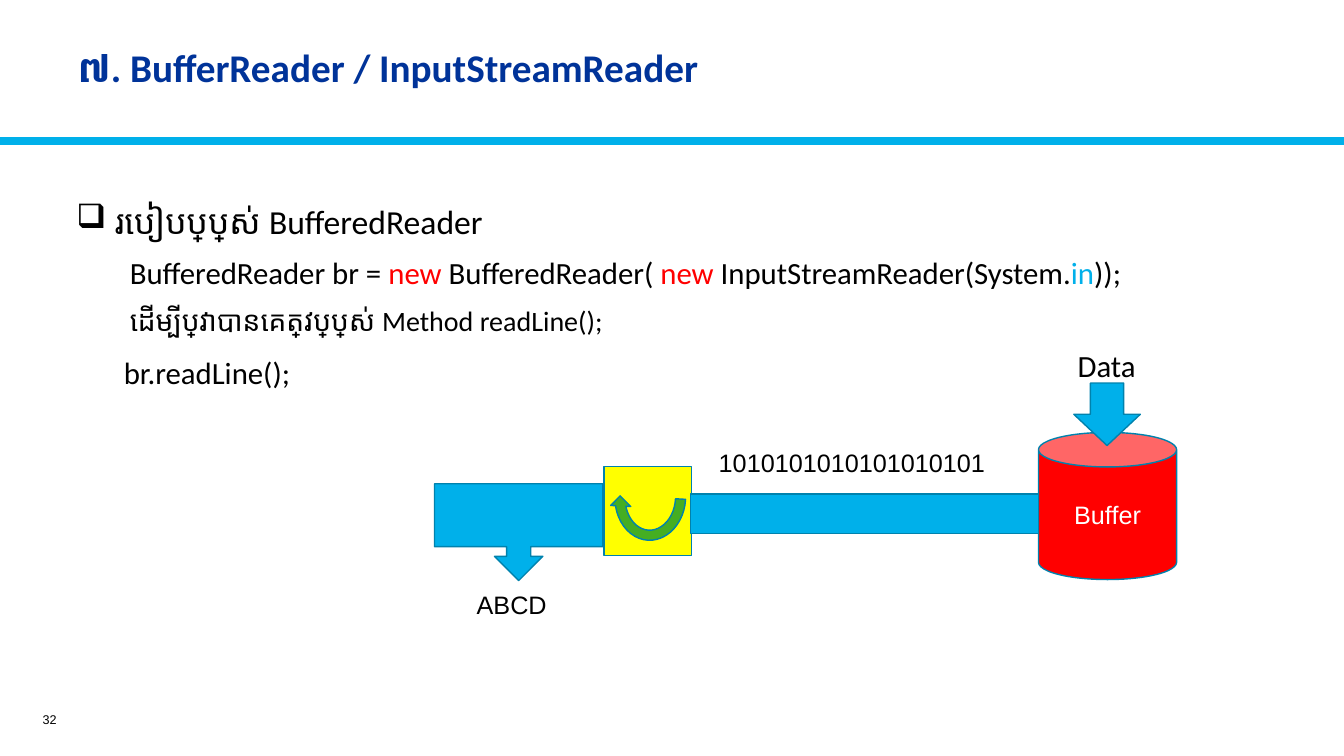
from lxml import etree
from pptx import Presentation
from pptx import util as u
from pptx.dml.color import RGBColor
from pptx.enum import shapes, text
from pptx.oxml import ns

KIND = shapes.MSO_SHAPE
ALIGN = text.PP_ALIGN
MIDDLE = text.MSO_ANCHOR.MIDDLE
BLACK, WHITE, RED, SKY = "000000", "FFFFFF", "FF0000", "00B0EA"


def color(code):
    return RGBColor.from_string(code)


def apply(item, values):
    for key, value in values.items():
        setattr(item, key, value)


class Deck:
    edge = "0082AD"

    def __init__(self, wide, high):
        self.show = Presentation()
        apply(self.show, {"slide_width": u.Inches(wide), "slide_height": u.Inches(high)})
        self.slide = self.show.slides.add_slide(self.show.slide_layouts[5])

    def fill_in(self, para, runs, size, face="Calibri", bold=False):
        for words, code in runs:
            run = para.add_run()
            run.text = words
            apply(run.font, {"size": u.Pt(size), "name": face, "bold": bold})
            run.font.color.rgb = color(code)

    def title(self, words, box):
        shape = self.slide.shapes.title
        apply(shape, dict(zip(("left", "top", "width", "height"), map(u.Inches, box))))
        apply(shape.text_frame, {"vertical_anchor": MIDDLE, "word_wrap": True,
                                 "auto_size": text.MSO_AUTO_SIZE.NONE})
        para = shape.text_frame.paragraphs[0]
        apply(para, {"alignment": ALIGN.LEFT, "line_spacing": 0.9})
        self.fill_in(para, [(words, "003399")], 28, bold=True)

    def rule(self, start, end, code, width):
        line = self.slide.shapes.add_connector(
            shapes.MSO_CONNECTOR.STRAIGHT, *map(u.Inches, start + end))
        line.line.color.rgb = color(code)
        line.line.width = u.Pt(width)
        etree.SubElement(line._element.spPr, ns.qn("a:effectLst"))

    def frame(self, box):
        area = self.slide.shapes.add_textbox(*map(u.Inches, box)).text_frame
        area.word_wrap = True
        return area

    def label(self, words, box, size=18, face="Arial", align=ALIGN.LEFT, anchor=None):
        area = self.frame(box)
        area.vertical_anchor = anchor
        area.paragraphs[0].alignment = align
        self.fill_in(area.paragraphs[0], [(words, BLACK)], size, face)

    def bullet(self, props, mark):
        tint = etree.SubElement(props, ns.qn("a:buClr"))
        etree.SubElement(tint, ns.qn("a:srgbClr"), val=BLACK)
        etree.SubElement(props, ns.qn("a:buChar"), char=mark)

    def body(self, rows, box):
        area = self.frame(box)
        for spot, (runs, size, space, left, level, mark) in enumerate(rows):
            para = area.add_paragraph() if spot else area.paragraphs[0]
            apply(para, {"level": level, "space_before": u.Pt(space)})
            props = para._p.get_or_add_pPr()
            props.set("marL", str(u.Inches(left)))
            props.set("indent", str(-u.Inches(left) if mark else 0))
            if mark:
                self.bullet(props, mark)
            self.fill_in(para, runs, size)

    def shape(self, kind, box, fill, turn=0, words=None):
        item = self.slide.shapes.add_shape(kind, *map(u.Inches, box))
        item.shadow.inherit = False
        item.rotation = turn
        item.fill.solid()
        item.fill.fore_color.rgb = color(fill)
        item.line.color.rgb = color(self.edge)
        item.line.width = u.Pt(1)
        if words:
            item.text_frame.vertical_anchor = MIDDLE
            para = item.text_frame.paragraphs[0]
            para.alignment = ALIGN.CENTER
            self.fill_in(para, [(words, WHITE)], 18, "Arial")


def main():
    deck = Deck(13.33, 7.5)
    deck.rule((0, 1.4), (13.33, 1.4), SKY, 6)
    deck.title("៧. BufferReader / InputStreamReader", (0.67, 0.14, 12.02, 1.11))
    deck.label("32", (0.09, 6.99, 0.57, 0.3), 9, align=ALIGN.RIGHT, anchor=MIDDLE)

    code = [("BufferedReader br = ", BLACK), ("new ", RED), ("BufferedReader( ", BLACK),
            ("new ", RED), ("InputStreamReader(System.", BLACK), ("in", SKY), ("));", BLACK)]
    deck.body([
        ([("របៀបប្រើប្រាស់ BufferedReader", BLACK)], 24, 0, 0.38, 0, "❑"),
        (code, 22, 9, 0.53, 1, None),
        ([("ដើម្បីប្រើវាបានគេត្រូវប្រើប្រាស់ Method readLine();", BLACK)], 20, 9, 0.53, 1, None),
        ([("br.readLine();", BLACK)], 22, 12, 0.47, 0, None),
    ], (0.66, 1.94, 12.05, 4.72))

    deck.shape(KIND.CAN, (10.3, 4.29, 1.37, 1.46), RED, words="Buffer")
    deck.shape(KIND.RIGHT_ARROW, (10.67, 3.78, 0.62, 0.66), SKY, 90)
    deck.label("Data", (10.59, 3.39, 0.97, 0.47), 22, "Calibri")
    deck.label("1010101010101010101", (7.03, 4.39, 2.91, 0.4))
    deck.shape(KIND.RECTANGLE, (5.99, 4.63, 0.87, 0.88), "FFFF00")
    deck.shape(KIND.DOWN_ARROW_CALLOUT, (4.31, 4.8, 1.67, 0.96), SKY)
    deck.label("ABCD", (4.63, 5.8, 1.04, 0.4))
    deck.shape(KIND.CIRCULAR_ARROW, (6.05, 4.46, 0.8, 0.95), "45AE22", 183)
    deck.shape(KIND.RECTANGLE, (6.85, 4.9, 3.45, 0.39), SKY)
    deck.show.save("out.pptx")


if __name__ == "__main__":
    main()
